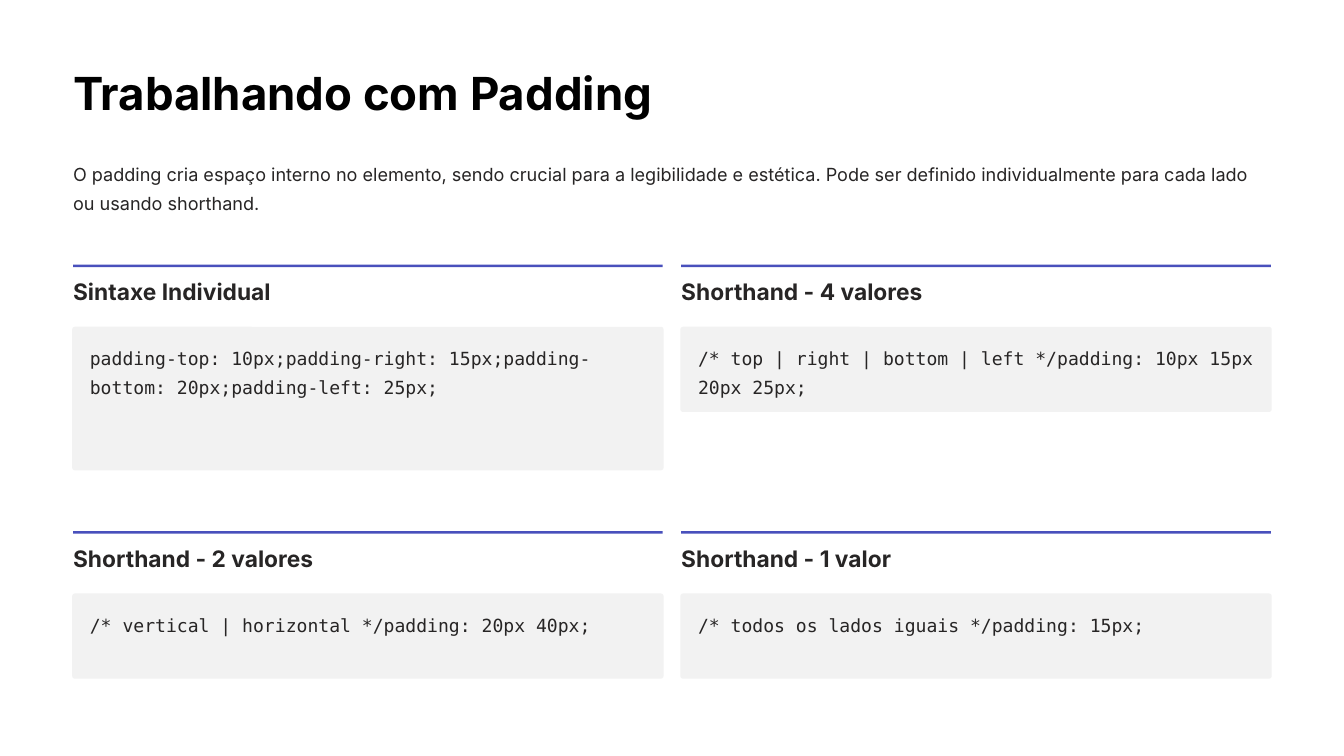
from dataclasses import dataclass

from pptx import Presentation
from pptx import util as u
from pptx.dml.color import RGBColor
from pptx.enum import shapes, text

WHITE = RGBColor(0xFF, 0xFF, 0xFF)
BLACK = RGBColor(0x00, 0x00, 0x00)
INK = RGBColor(0x27, 0x25, 0x25)
BLUE = RGBColor(0x49, 0x50, 0xBC)
GREY = RGBColor(0xF2, 0xF2, 0xF2)

WIDE, HIGH = 16, 9
EDGE = 0.87
GAP = 0.22
COL = (WIDE - 2 * EDGE - GAP) / 2
TOP, ROW = 3.15, 3.175
BLEED = 0.01
PAD_X, PAD_Y = 0.2, 0.16
LINE = 25 / 72
ROUND = 0.0325


@dataclass(frozen=True)
class Style:
    font: dict
    ink: RGBColor
    lead: float
    wrap: bool


@dataclass(frozen=True)
class Card:
    col: int
    row: int
    lines: int
    head: str
    code: str


TITLE = Style({"name": "Inter", "size": u.Pt(39), "bold": True}, BLACK, 48.5, False)
HEAD = Style({"name": "Inter", "size": u.Pt(19.5), "bold": True}, INK, 24, False)
BODY = Style({"name": "Inter", "size": u.Pt(15.5)}, INK, 25, True)
CODE = Style({"name": "DejaVu Sans Mono", "size": u.Pt(15.5)}, INK, 25, True)

CARDS = [
    Card(0, 0, 4, "Sintaxe Individual",
         "padding-top: 10px;padding-right: 15px;padding-bottom: 20px;padding-left: 25px;"),
    Card(1, 0, 2, "Shorthand - 4 valores",
         "/* top | right | bottom | left */padding: 10px 15px 20px 25px;"),
    Card(0, 1, 2, "Shorthand - 2 valores",
         "/* vertical | horizontal */padding: 20px 40px;"),
    Card(1, 1, 2, "Shorthand - 1 valor",
         "/* todos os lados iguais */padding: 15px;"),
]


def write(slide, x: float, y: float, w: float, h: float, words: str, style: Style) -> None:
    box = slide.shapes.add_textbox(*map(u.Inches, (x, y, w, h)))
    frame = box.text_frame
    form = {"margin_left": 0, "margin_right": 0, "margin_top": 0, "margin_bottom": 0,
            "word_wrap": style.wrap, "vertical_anchor": text.MSO_ANCHOR.TOP}
    for key, val in form.items():
        setattr(frame, key, val)
    para = frame.paragraphs[0]
    para.line_spacing = u.Pt(style.lead)
    run = para.add_run()
    run.text = words
    for key, val in style.font.items():
        setattr(run.font, key, val)
    run.font.color.rgb = style.ink


def block(slide, kind: shapes.MSO_SHAPE, x: float, y: float, w: float, h: float,
          tint: RGBColor):
    item = slide.shapes.add_shape(kind, *map(u.Inches, (x, y, w, h)))
    item.shadow.inherit = False
    item.fill.solid()
    item.fill.fore_color.rgb = tint
    item.line.fill.background()
    return item


def draw(slide, card: Card) -> None:
    x = EDGE + card.col * (COL + GAP)
    y = TOP + card.row * ROW
    tall = card.lines * LINE
    block(slide, shapes.MSO_SHAPE.RECTANGLE, x, y, COL, 0.03, BLUE)
    write(slide, x, y + 0.15, COL, 0.34, card.head, HEAD)
    high = tall + 2 * PAD_Y
    panel = block(slide, shapes.MSO_SHAPE.ROUNDED_RECTANGLE, x - BLEED, y + 0.74,
                  COL + 2 * BLEED, high, GREY)
    panel.adjustments[0] = ROUND / high
    write(slide, x + PAD_X, y + 0.74 + PAD_Y, COL - 2 * PAD_X, tall, card.code, CODE)


def main() -> None:
    deck = Presentation()
    deck.slide_width, deck.slide_height = u.Inches(WIDE), u.Inches(HIGH)
    slide = deck.slides.add_slide(deck.slide_layouts[6])
    slide.background.fill.solid()
    slide.background.fill.fore_color.rgb = WHITE
    full = WIDE - 2 * EDGE
    write(slide, EDGE, 0.75, full, 0.68, "Trabalhando com Padding", TITLE)
    write(slide, EDGE, 1.86, full, 2 * LINE,
          "O padding cria espaço interno no elemento, sendo crucial para a legibilidade "
          "e estética. Pode ser definido individualmente para cada lado ou usando shorthand.",
          BODY)
    for card in CARDS:
        draw(slide, card)
    deck.save("out.pptx")


if __name__ == "__main__":
    main()
